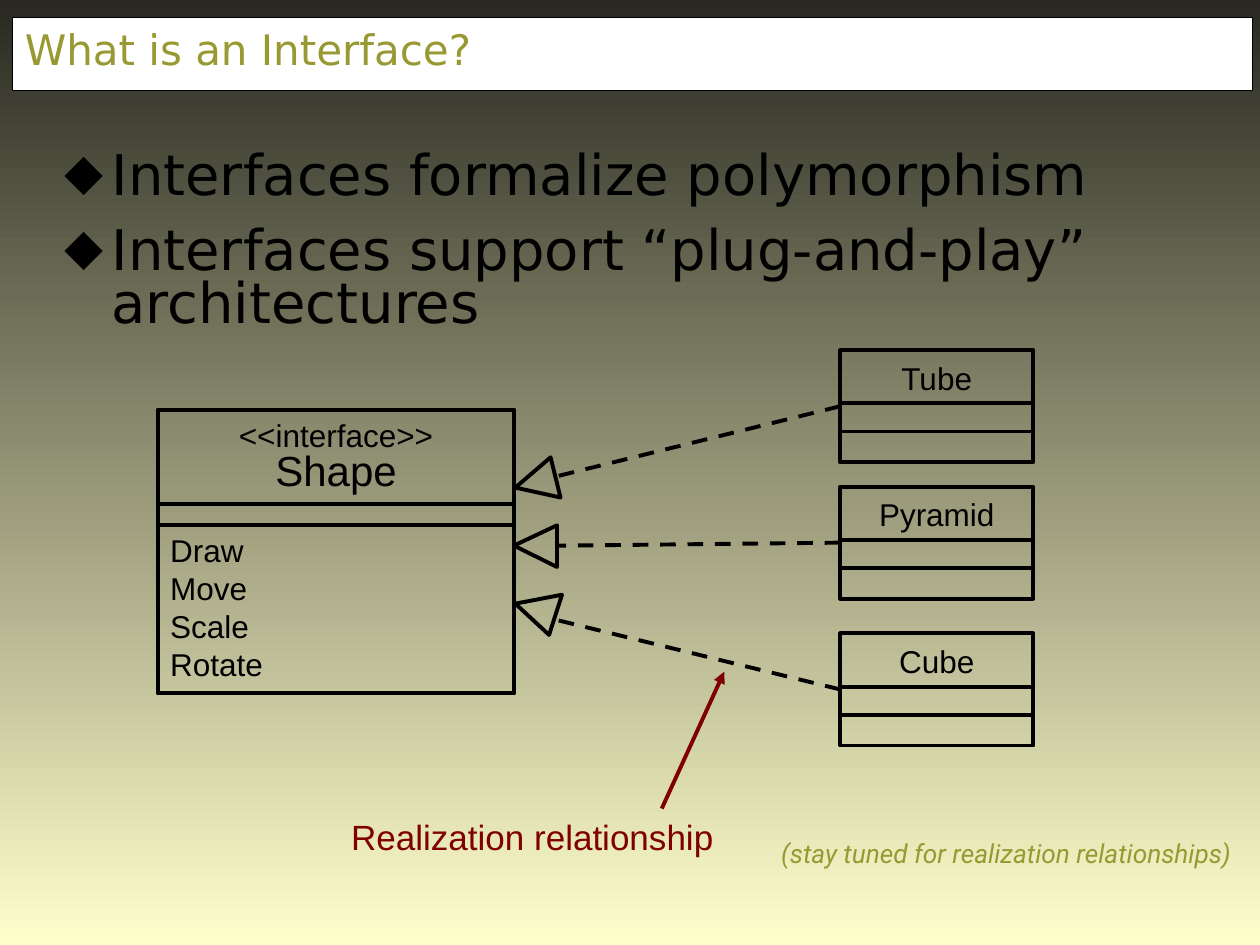
"""Build a slide on interfaces with a UML realization diagram."""
from lxml.etree import SubElement
from pptx import Presentation
from pptx.dml.color import RGBColor
from pptx.enum.dml import MSO_LINE as Dash
from pptx.enum.shapes import MSO_CONNECTOR as Link, MSO_SHAPE as Form
from pptx.enum.text import MSO_ANCHOR as Anchor, MSO_AUTO_SIZE as Fit, PP_ALIGN as Align
from pptx.oxml.ns import qn
from pptx.util import Cm, Pt

rgb = RGBColor.from_string
BLACK, RED, OLIVE = "000000", "800000", "999933"

deck = Presentation()
deck.slide_width, deck.slide_height = Cm(25.4), Cm(19.05)
slide = deck.slides.add_slide(deck.slide_layouts[1])
shapes = slide.shapes

back = slide.background.fill
back.gradient()
back.gradient_angle = 270
for stop, tone in zip(back.gradient_stops, ("292921", "FFFFCC")):
    stop.color.rgb = rgb(tone)


def write(frame, text, size, font="Arial", tone=BLACK, align=Align.LEFT, pad=(0.25, 0.13)):
    """Fill a text frame and format its paragraphs and runs."""
    frame.text = text
    frame.word_wrap = True
    frame.auto_size = Fit.NONE
    frame.vertical_anchor = Anchor.TOP
    frame.margin_left = frame.margin_right = Cm(pad[0])
    frame.margin_top = frame.margin_bottom = Cm(pad[1])
    for par in frame.paragraphs:
        par.alignment = align
        for run in par.runs:
            run.font.size, run.font.name = Pt(size), font
            run.font.color.rgb = rgb(tone)


def join(x1, y1, x2, y2, tone=BLACK):
    """Draw a straight line between two points in centimetres."""
    link = shapes.add_connector(Link.STRAIGHT, Cm(x1), Cm(y1), Cm(x2), Cm(y2))
    link.line.color.rgb = rgb(tone)
    link.line.width = Pt(2.25)
    SubElement(link._element.spPr, qn("a:effectLst"))
    return link


title = shapes.title
title.left, title.top, title.width, title.height = Cm(0.25), Cm(0.35), Cm(25), Cm(1.47)
title.fill.solid()
title.fill.fore_color.rgb = rgb("FFFFFF")
title.line.color.rgb = rgb(BLACK)
title.line.width = Pt(0.75)
write(title.text_frame, "What is an Interface?", 24, "DejaVu Sans", OLIVE)

body = slide.placeholders[1]
body.left, body.top, body.width, body.height = Cm(1.01), Cm(2.92), Cm(23.6), Cm(14.02)
points = "Interfaces formalize polymorphism\nInterfaces support “plug-and-play” architectures"
write(body.text_frame, points, 32, "DejaVu Sans", pad=(0.3, 0.15))
for par in body.text_frame.paragraphs:
    par.line_spacing, par.space_before = 0.8, Pt(12)
    props = par._p.get_or_add_pPr()
    props.set("marL", str(Cm(0.94)))
    props.set("indent", str(Cm(-0.94)))
    SubElement(SubElement(props, qn("a:buClr")), qn("a:srgbClr")).set("val", BLACK)
    SubElement(props, qn("a:buChar")).set("char", "⬥")

boxes = []
for x, y, wide, high, rows in (
    (3.18, 8.26, 7.19, 5.72, (1.9, 2.33)),
    (16.94, 7.06, 3.89, 2.26, (1.07, 1.64)),
    (16.94, 9.81, 3.89, 2.26, (1.07, 1.64)),
    (16.94, 12.77, 3.89, 2.26, (1.07, 1.64)),
):
    box = shapes.add_shape(Form.RECTANGLE, Cm(x), Cm(y), Cm(wide), Cm(high))
    box.shadow.inherit = False
    box.fill.background()
    box.line.color.rgb = rgb(BLACK)
    box.line.width = Pt(2.25)
    boxes.append(box)
    for row in rows:
        join(x, y + row, x + wide, y + row)

for box, end, corners in zip(
    boxes[1:],
    (9.6, 11, 12.5),
    (
        ((10.39, 9.83), (11.1, 9.22), (11.3, 10.03)),
        ((10.36, 11), (11.23, 10.59), (11.23, 11.43)),
        ((10.39, 12.17), (11.33, 11.99), (11.07, 12.8)),
    ),
):
    link = join(16.94, end, 11.23, end)
    link.begin_connect(box, 1)
    link.line.dash_style = Dash.DASH
    tip, *rest = [(Cm(x), Cm(y)) for x, y in corners]
    pen = shapes.build_freeform(*tip)
    pen.add_line_segments(rest, close=True)
    head = pen.convert_to_shape()
    head.shadow.inherit = False
    head.fill.background()
    head.line.color.rgb = rgb(BLACK)
    head.line.width = Pt(2.25)

arrow = join(13.34, 16.3, 14.6, 13.54, RED)
SubElement(arrow.line._get_or_add_ln(), qn("a:tailEnd")).set("type", "triangle")

mid, none, wide = Align.CENTER, (0, 0), (0.3, 0.15)
for text, x, y, w, h, size, font, tone, align, pad in (
    ("Tube", 16.94, 7.24, 3.89, 0.76, 18, "Arial", BLACK, mid, none),
    ("Pyramid", 16.94, 9.98, 3.89, 0.76, 18, "Arial", BLACK, mid, none),
    ("Cube", 16.94, 12.95, 3.89, 0.76, 18, "Arial", BLACK, mid, none),
    ("<<interface>>", 3.18, 8.26, 7.19, 1.02, 18, "Arial", BLACK, mid, (0.25, 0.13)),
    ("Shape", 3.18, 8.97, 7.19, 1.02, 24, "Arial", BLACK, mid, none),
    ("Draw\nMove\nScale\nRotate", 3.18, 10.58, 7.19, 3.3, 18, "Arial", BLACK, Align.LEFT, (0.25, 0.13)),
    ("Realization relationship", 6.78, 16.3, 8.69, 1.14, 20, "Arial", RED, Align.LEFT, wide),
    ("(stay tuned for realization relationships)", 15.45, 16.72, 9.95, 1.57, 15, "Roboto", OLIVE, Align.LEFT, wide),
):
    note = shapes.add_textbox(Cm(x), Cm(y), Cm(w), Cm(h))
    write(note.text_frame, text, size, font, tone, align, pad)
note.text_frame.paragraphs[0].runs[0].font.italic = True

deck.save("out.pptx")
